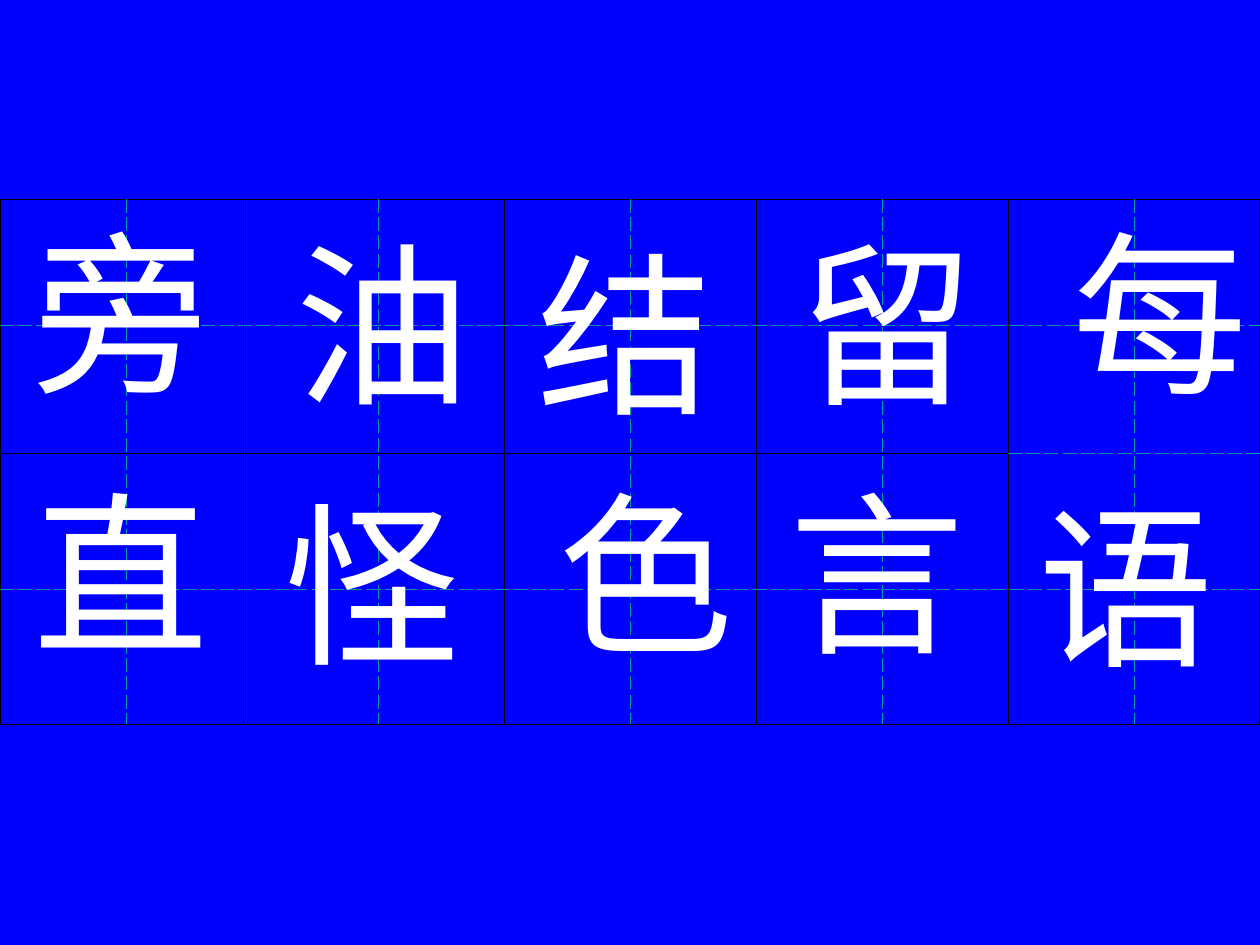
import pptx
import pptx.dml.color
import pptx.enum.text
import pptx.oxml.ns
import pptx.util
from lxml import etree

Pt = pptx.util.Pt
BLUE = pptx.dml.color.RGBColor(0x00, 0x00, 0xFF)
WHITE = pptx.dml.color.RGBColor(0xFF, 0xFF, 0xFF)
BLACK = pptx.dml.color.RGBColor(0x00, 0x00, 0x00)
TEAL = pptx.dml.color.RGBColor(0x00, 0x99, 0x99)

# Border styles: colour, width in points, dash
FRAME = (BLACK, 1.08, "solid")
DIVIDER = (BLACK, 0.45, "solid")
GUIDE = (TEAL, 0.45, "dash")

COLUMN_WIDTHS = [72, 67, 77] + [72] * 7
ROW_HEIGHTS = [72, 73, 77.5, 77.5]
GRID_TOP = 114

# Character, left, top, box width
CHARACTERS = [
    ("旁", 12, 114, 102.5),
    ("油", 162, 120, 114.5),
    ("结", 300, 126, 120),
    ("留", 450, 120, 108),
    ("每", 606, 114, 114),
    ("直", 12, 262.5, 114.5),
    ("怪", 155.5, 268.5, 114.5),
    ("色", 312, 262.5, 126),
    ("言", 444, 262.5, 114.5),
    ("语", 586.5, 270, 114.5),
]
BOX_HEIGHT = 127.5


def set_border(cell, side, style):
    color, width, dash = style
    properties = cell._tc.get_or_add_tcPr()
    qn = pptx.oxml.ns.qn
    line = etree.SubElement(properties, qn(f"a:ln{side}"), w=str(int(Pt(width))))
    fill = etree.SubElement(line, qn("a:solidFill"))
    etree.SubElement(fill, qn("a:srgbClr"), val=str(color))
    etree.SubElement(line, qn("a:prstDash"), val=dash)


def edge_style(edge, last_edge, divided=True):
    """Frame at the outside, divider between squares, guide through a square."""
    if edge in (0, last_edge):
        return FRAME
    return DIVIDER if edge % 2 == 0 and divided else GUIDE


def add_practice_grid(slide):
    rows, columns = len(ROW_HEIGHTS), len(COLUMN_WIDTHS)
    frame = slide.shapes.add_table(
        rows, columns, Pt(0), Pt(GRID_TOP),
        Pt(sum(COLUMN_WIDTHS)), Pt(sum(ROW_HEIGHTS)))
    grid = frame.table
    grid.first_row = grid.horz_banding = False
    for column, width in zip(grid.columns, COLUMN_WIDTHS):
        column.width = Pt(width)
    for row, height in zip(grid.rows, ROW_HEIGHTS):
        row.height = Pt(height)
    for r in range(rows):
        for c in range(columns):
            cell = grid.cell(r, c)
            divided = c < columns - 2  # the last square has a dashed middle line
            set_border(cell, "L", edge_style(c, columns))
            set_border(cell, "R", edge_style(c + 1, columns))
            set_border(cell, "T", edge_style(r, rows, divided))
            set_border(cell, "B", edge_style(r + 1, rows, divided))
            cell.fill.background()


def add_character(slide, character, left, top, width):
    box = slide.shapes.add_textbox(Pt(left), Pt(top), Pt(width), Pt(BOX_HEIGHT))
    frame = box.text_frame
    frame.word_wrap = True
    frame.auto_size = pptx.enum.text.MSO_AUTO_SIZE.SHAPE_TO_FIT_TEXT
    paragraph = frame.paragraphs[0]
    paragraph.text = character
    paragraph.font.name = "Times New Roman"
    paragraph.font.size = Pt(100)
    paragraph.font.color.rgb = WHITE


def main():
    presentation = pptx.Presentation()
    presentation.slide_width = Pt(720)
    presentation.slide_height = Pt(540)
    slide = presentation.slides.add_slide(presentation.slide_layouts[6])
    background = slide.background.fill
    background.solid()
    background.fore_color.rgb = BLUE
    add_practice_grid(slide)
    for character, left, top, width in CHARACTERS:
        add_character(slide, character, left, top, width)
    presentation.save("out.pptx")


if __name__ == "__main__":
    main()
